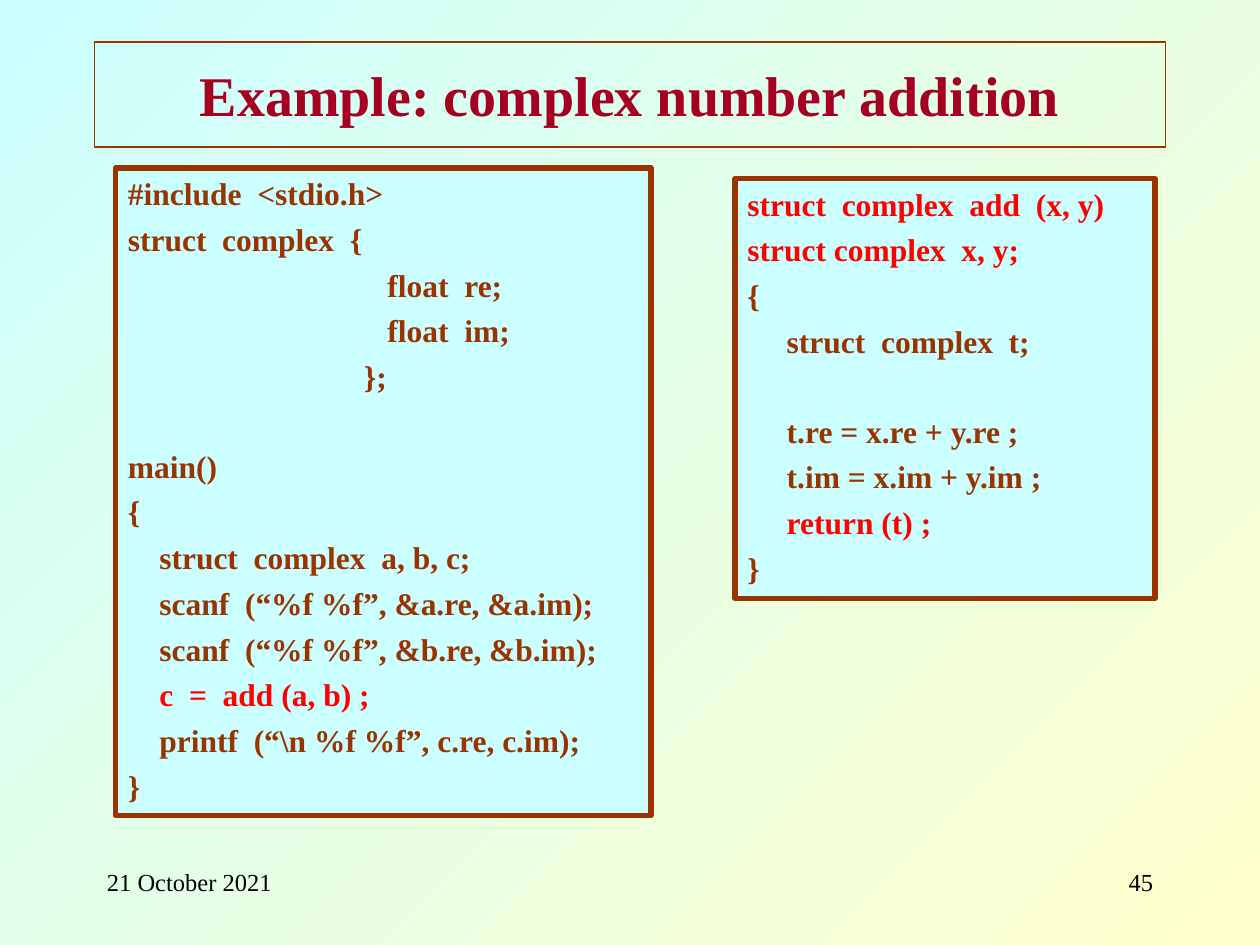
from dataclasses import dataclass

from pptx import Presentation
from pptx.dml.color import RGBColor
from pptx.enum import shapes, text
from pptx.util import Pt


@dataclass(frozen=True)
class Theme:
    font: str = "Times New Roman"
    sky: RGBColor = RGBColor(0xCC, 0xFF, 0xFF)
    cream: RGBColor = RGBColor(0xFF, 0xFF, 0xCC)
    brown: RGBColor = RGBColor(0x99, 0x33, 0x00)
    crimson: RGBColor = RGBColor(0xA5, 0x00, 0x21)
    red: RGBColor = RGBColor(0xFF, 0x00, 0x00)
    black: RGBColor = RGBColor(0x00, 0x00, 0x00)
    title_size: float = 32
    code_size: float = 18
    footer_size: float = 14
    code_gap: float = 4.5
    blank_line: float = 25.2


class SlideBuilder:
    def __init__(self, slide, theme):
        self.slide = slide
        self.theme = theme

    def background(self):
        fill = self.slide.background.fill
        fill.gradient()
        fill.gradient_angle = 315  # counter-clockwise: top left to bottom right
        for stop, color in zip(fill.gradient_stops, (self.theme.sky, self.theme.cream)):
            stop.color.rgb = color

    def style(self, paragraph, size, color, bold=False, align=text.PP_ALIGN.LEFT):
        paragraph.alignment = align
        font = paragraph.font
        font.name, font.size, font.bold = self.theme.font, Pt(size), bold
        font.color.rgb = color

    def frame(self, left, top, width, height, line_width, fill=None):
        shape = self.slide.shapes.add_shape(
            shapes.MSO_SHAPE.RECTANGLE, Pt(left), Pt(top), Pt(width), Pt(height))
        shape.shadow.inherit = False
        if fill is None:
            shape.fill.background()
        else:
            shape.fill.solid()
            shape.fill.fore_color.rgb = fill
        shape.line.color.rgb = self.theme.brown
        shape.line.width = Pt(line_width)
        shape.text_frame.word_wrap = True
        return shape.text_frame

    def title(self, words, left, top, width, height):
        frame = self.frame(left, top, width, height, 0.75)
        frame.vertical_anchor = text.MSO_ANCHOR.MIDDLE
        paragraph = frame.paragraphs[0]
        paragraph.text = words
        self.style(paragraph, self.theme.title_size, self.theme.crimson,
                   True, text.PP_ALIGN.CENTER)

    def code(self, source, highlights, left, top, width, height):
        """Show code; empty source lines become space before the next line."""
        theme = self.theme
        frame = self.frame(left, top, width, height, 3, theme.sky)
        frame.vertical_anchor = text.MSO_ANCHOR.TOP
        paragraph, space = frame.paragraphs[0], 0
        for line in source.strip().splitlines():
            if not line:
                space += theme.blank_line
                continue
            if paragraph is None:
                paragraph = frame.add_paragraph()
            paragraph.text = line
            paragraph.space_before = Pt(space)
            color = theme.red if line.strip() in highlights else theme.brown
            self.style(paragraph, theme.code_size, color, True)
            paragraph, space = None, theme.code_gap

    def footer(self, words, left, align):
        box = self.slide.shapes.add_textbox(Pt(left), Pt(492), Pt(150), Pt(36))
        box.text_frame.word_wrap = True
        paragraph = box.text_frame.paragraphs[0]
        paragraph.text = words
        self.style(paragraph, self.theme.footer_size, self.theme.black, align=align)


MAIN_PROGRAM = r"""
#include  <stdio.h>
struct  complex  {
                                 float  re;
                                 float  im;
                              };

main()
{
    struct  complex  a, b, c;
    scanf  (“%f %f”, &a.re, &a.im);
    scanf  (“%f %f”, &b.re, &b.im);
    c  =  add (a, b) ;
    printf  (“\n %f %f”, c.re, c.im);
}
"""

ADD_FUNCTION = """
struct  complex  add  (x, y)
struct complex  x, y;
{
     struct  complex  t;

     t.re = x.re + y.re ;
     t.im = x.im + y.im ;
     return (t) ;
}
"""


def main():
    presentation = Presentation()
    presentation.slide_width, presentation.slide_height = Pt(720), Pt(540)
    slide = presentation.slides.add_slide(presentation.slide_layouts[6])
    builder = SlideBuilder(slide, Theme())
    builder.background()

    # Date and slide number
    builder.footer("21 October 2021", 54, text.PP_ALIGN.LEFT)
    builder.footer("45", 516, text.PP_ALIGN.RIGHT)

    # Title
    builder.title("Example: complex number addition", 54, 24, 612, 60)

    # Main program and the function it calls
    builder.code(MAIN_PROGRAM, {"c  =  add (a, b) ;"}, 66, 96, 306, 370)
    builder.code(
        ADD_FUNCTION,
        {"struct  complex  add  (x, y)", "struct complex  x, y;", "return (t) ;"},
        420, 102, 240, 240)

    presentation.save("out.pptx")


if __name__ == "__main__":
    main()
